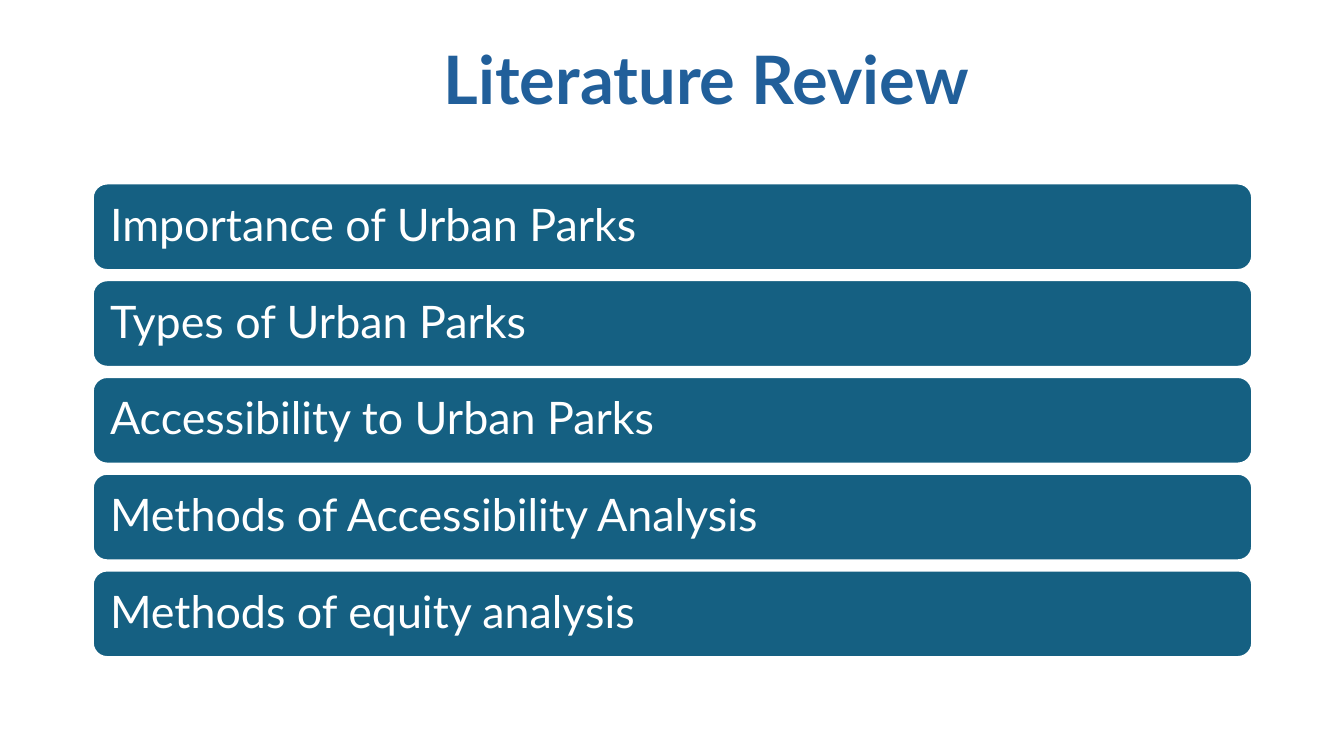
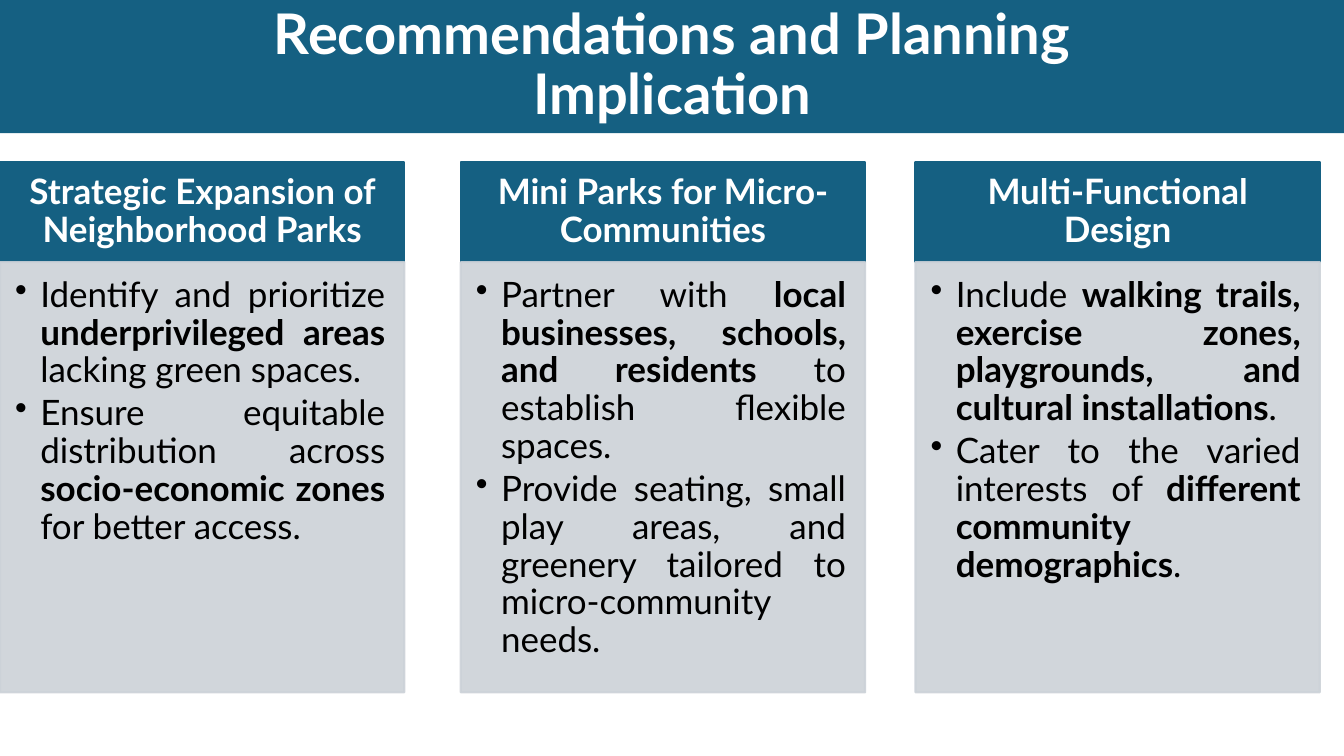
import pptx
import pptx.dml.color
import pptx.enum.shapes
import pptx.enum.text
import pptx.oxml.ns
import pptx.util
import lxml.etree

Inches = pptx.util.Inches
Pt = pptx.util.Pt
SHAPE = pptx.enum.shapes.MSO_SHAPE
ALIGN = pptx.enum.text.PP_ALIGN
ANCHOR = pptx.enum.text.MSO_ANCHOR
HUES = {"teal": "156082", "blue": "215F9A", "gray": "CCD2D8",
        "white": "FFFFFF", "black": "000000"}
FONT = "Lato"

TOPICS = ["Importance of Urban Parks", "Types of Urban Parks",
          "Accessibility to Urban Parks", "Methods of Accessibility Analysis",
          "Methods of equity analysis"]
PLANS = [
    (0, "Strategic Expansion of Neighborhood Parks",
     ["Identify and prioritize **underprivileged areas** lacking green spaces.",
      "Ensure equitable distribution across **socio-economic zones** for better access."]),
    (4.57, "Mini Parks for Micro-Communities",
     ["Partner with **local businesses, schools, and residents** to establish flexible spaces.",
      "Provide seating, small play areas, and greenery tailored to micro-community needs."]),
    (9.08, "Multi-Functional Design",
     ["Include **walking trails, exercise zones, playgrounds, and cultural installations**.",
      "Cater to the varied interests of **different community demographics**."]),
]


def color(name):
    return pptx.dml.color.RGBColor.from_string(HUES[name])


def paint(fill, hue, alpha=None):
    fill.solid()
    fill.fore_color.rgb = color(hue)
    if alpha:
        for tone in fill._xPr.iter(pptx.oxml.ns.qn("a:srgbClr")):
            node = lxml.etree.SubElement(tone, pptx.oxml.ns.qn("a:alpha"))
            node.set("val", str(alpha * 1000))


def place(shape, box):
    shape.left, shape.top, shape.width, shape.height = map(Inches, box)


def setup(frame, pads, anchor):
    frame.word_wrap = True
    frame.auto_size = pptx.enum.text.MSO_AUTO_SIZE.NONE
    frame.vertical_anchor = anchor
    (frame.margin_left, frame.margin_top,
     frame.margin_right, frame.margin_bottom) = map(Inches, pads)


def style(run, size, hue, bold=False):
    run.font.name = FONT
    run.font.size = Pt(size)
    run.font.bold = bold
    run.font.color.rgb = color(hue)


def label(frame, text, size, hue, align, bold=False):
    frame.text = text
    para = frame.paragraphs[0]
    para.alignment = align
    para.line_spacing = 0.9
    style(para.runs[0], size, hue, bold)


def panel(slide, kind, box, hue, edge, alpha=None):
    shape = slide.shapes.add_shape(kind, *map(Inches, box))
    shape.shadow.inherit = False
    paint(shape.fill, hue, alpha)
    paint(shape.line.fill, edge, alpha)
    shape.line.width = Pt(1.5)
    return shape


def title(slide, text, box, size, hue, side=0.1):
    shape = slide.shapes.title
    place(shape, box)
    setup(shape.text_frame, (side, 0.05, side, 0.05), ANCHOR.MIDDLE)
    label(shape.text_frame, text, size, hue, ALIGN.CENTER, True)
    return shape


def bullet(para, text):
    para.alignment = ALIGN.JUSTIFY
    para.line_spacing = 0.9
    para.space_after = Pt(3.75)
    props = para._p.get_or_add_pPr()
    props.set("marL", str(Inches(0.25)))
    props.set("indent", str(-Inches(0.25)))
    mark = lxml.etree.SubElement(props, pptx.oxml.ns.qn("a:buChar"))
    mark.set("char", "•")
    for pos, part in enumerate(text.split("**")):
        run = para.add_run()
        run.text = part
        style(run, 25, "black", pos % 2 == 1)


def bars(slide, box, items, gap):
    left, top, width, height = box
    tall = (height - gap * (len(items) - 1)) / len(items)
    for row, text in enumerate(items):
        shape = panel(slide, SHAPE.ROUNDED_RECTANGLE,
                      (left, top + row * (tall + gap), width, tall),
                      "teal", "white")
        setup(shape.text_frame, (0.13,) * 4, ANCHOR.MIDDLE)
        label(shape.text_frame, text, 32, "white", ALIGN.LEFT)


def column(slide, box, head, items):
    left, top, width, height = box
    cap = 0.99
    shape = panel(slide, SHAPE.RECTANGLE, (left, top, width, cap), "teal", "teal")
    setup(shape.text_frame, (0.19, 0.11, 0.19, 0.11), ANCHOR.MIDDLE)
    label(shape.text_frame, head, 25, "white", ALIGN.CENTER, True)
    shape = panel(slide, SHAPE.RECTANGLE, (left, top + cap, width, height - cap),
                  "gray", "gray", 90)
    frame = shape.text_frame
    setup(frame, (0.15, 0.15, 0.19, 0.22), ANCHOR.TOP)
    for pos, text in enumerate(items):
        bullet(frame.add_paragraph() if pos else frame.paragraphs[0], text)


def review(slide):
    title(slide, "Literature Review", (3.87, 0.34, 6.27, 0.96), 47.7, "blue")
    bars(slide, (0.92, 1.82, 11.5, 4.7), TOPICS, 0.1)


def advice(slide):
    band = title(slide, "Recommendations and Planning Implication",
                 (0, 0, 13.33, 1.32), 40, "white", 2)
    paint(band.fill, "teal")
    for left, head, items in PLANS:
        column(slide, (left, 1.61, 4.01, 5.26), head, items)


def main():
    deck = pptx.Presentation()
    deck.slide_width = Inches(13.33)
    deck.slide_height = Inches(7.5)
    for build in (review, advice):
        build(deck.slides.add_slide(deck.slide_layouts[5]))
    deck.save("out.pptx")


if __name__ == "__main__":
    main()
